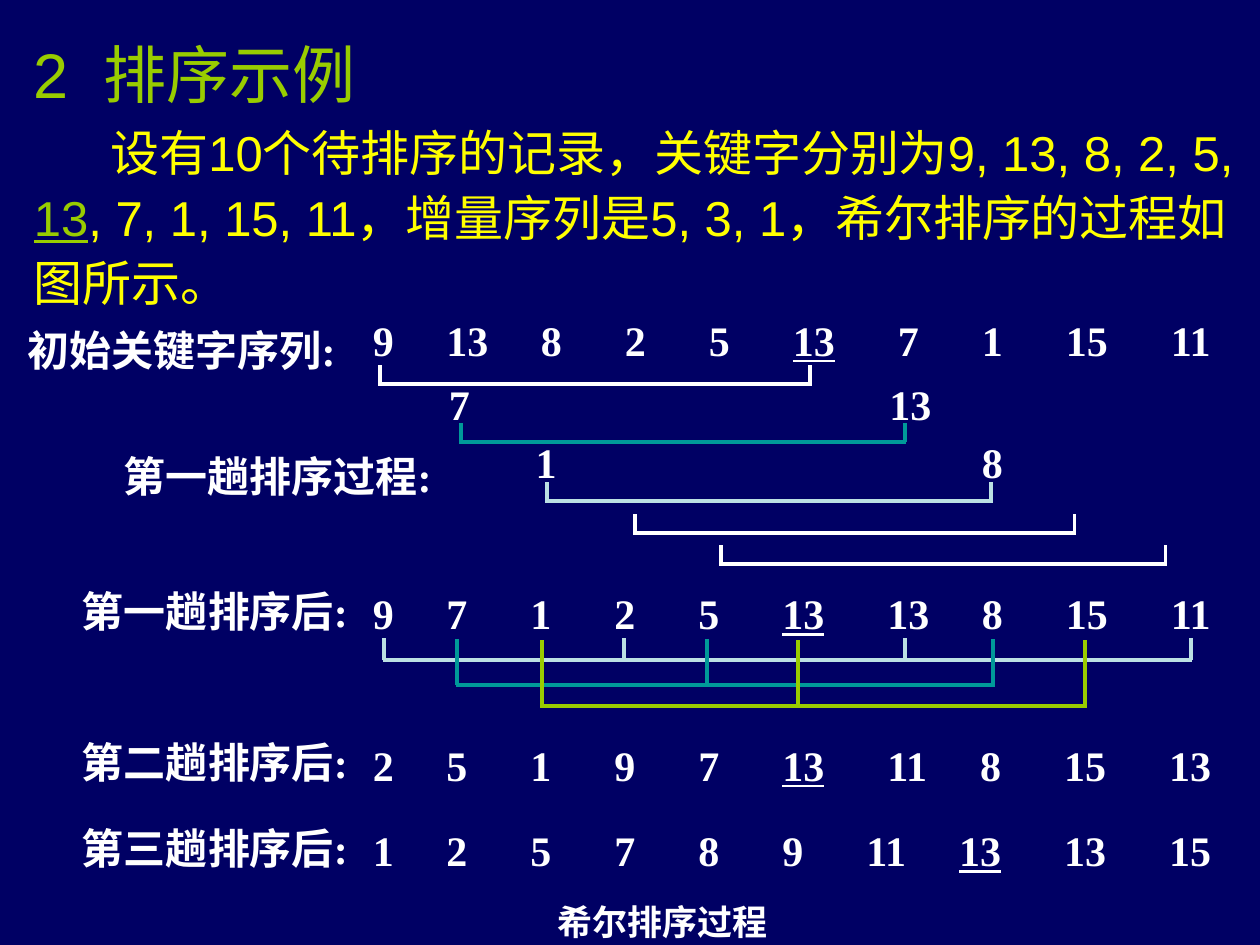
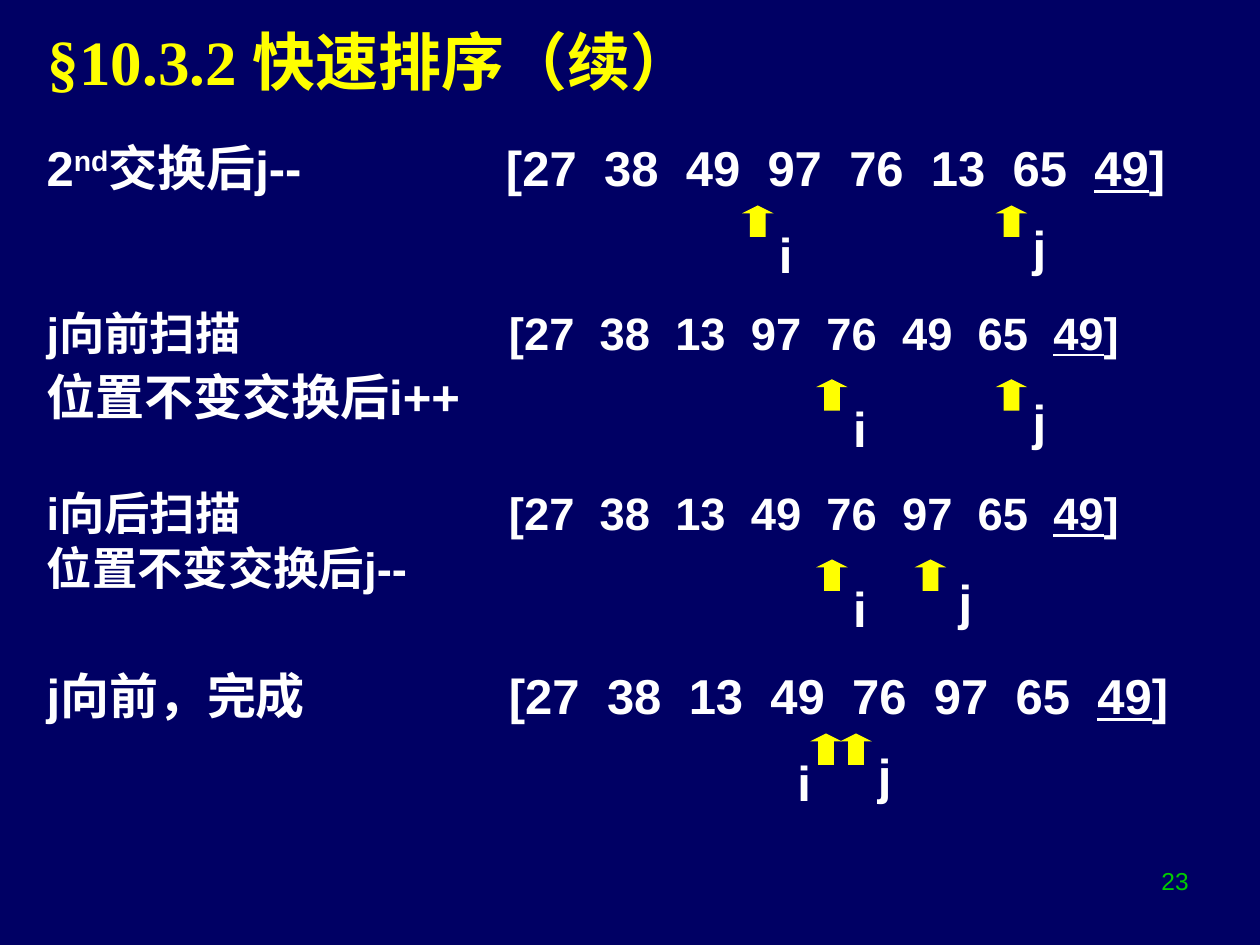
"""Build two slides on Shell sort and quick sort."""
from dataclasses import dataclass

from lxml import etree
from pptx import Presentation
from pptx.dml.color import RGBColor
from pptx.enum import shapes, text
from pptx.oxml import ns
from pptx.util import Pt


@dataclass(frozen=True)
class Theme:
    back: str = "000064"
    white: str = "FFFFFF"
    yellow: str = "FFFF00"
    green: str = "99CC00"
    teal: str = "009999"
    pale: str = "BBE0E3"
    page: str = "00CC00"
    sans: str = "Arial"
    serif: str = "Times New Roman"
    head: float = 36
    body: float = 28
    tight: float = 25.9
    key: float = 24
    note: float = 20
    small: float = 14
    line: float = 2.25


T = Theme()
LEFT, MID, RIGHT = text.PP_ALIGN.LEFT, text.PP_ALIGN.CENTER, text.PP_ALIGN.RIGHT


@dataclass(frozen=True)
class Look:
    size: float
    color: str = T.white
    font: str = T.sans
    bold: bool = True


KEY = Look(T.key, font=T.serif)
BODY = Look(T.body)


class Deck:
    """Holds the presentation, its style and the current slide."""

    def __init__(self):
        self.prs = Presentation()
        self.prs.slide_width, self.prs.slide_height = Pt(720), Pt(540)
        self.paint(self.prs.slide_master.background.fill, T.back)
        self.slide = None

    def paint(self, fill, color):
        fill.solid()
        fill.fore_color.rgb = RGBColor.from_string(color)

    def start(self, layout):
        self.slide = self.prs.slides.add_slide(self.prs.slide_layouts[layout])

    def place(self, item, left, top, width, height):
        item.left, item.top = Pt(left), Pt(top)
        item.width, item.height = Pt(width), Pt(height)

    def frame(self, item, anchor):
        frame = item.text_frame
        frame.word_wrap = True
        frame.auto_size = text.MSO_AUTO_SIZE.NONE
        frame.vertical_anchor = anchor
        return frame

    def para(self, para, runs, look, align=LEFT, tabs=(), indent=None, space=1, before=0):
        para.alignment = align
        para.line_spacing = space
        para.space_before = Pt(before)
        props = para._p.get_or_add_pPr()
        if indent is not None:
            props.set("marL", "0")
            props.set("indent", str(Pt(indent)))
        etree.SubElement(props, ns.qn("a:buNone"))
        if tabs:
            stops = etree.SubElement(props, ns.qn("a:tabLst"))
            for stop in tabs:
                etree.SubElement(stops, ns.qn("a:tab"), pos=str(Pt(stop)), algn="l")
        for words, mark in runs:
            self.run(para, words, look, mark)

    def run(self, para, words, look, mark):
        run = para.add_run()
        run.text = words
        font = run.font
        font.size, font.bold = Pt(look.size), look.bold
        font.color.rgb = RGBColor.from_string(T.green if mark == "link" else look.color)
        font.underline = mark in ("under", "link")
        font.name = look.font
        props = run._r.get_or_add_rPr()
        etree.SubElement(props, ns.qn("a:ea"), typeface=T.sans)
        if mark == "super":
            props.set("baseline", "30000")
        if mark == "wide":
            props.set("spc", "1000")

    def label(self, box, runs, look, anchor=text.MSO_ANCHOR.TOP, **kind):
        if isinstance(runs, str):
            runs = [(runs, "")]
        item = self.slide.shapes.add_textbox(*map(Pt, box))
        self.para(self.frame(item, anchor).paragraphs[0], runs, look, **kind)

    def title(self, box, words, look):
        item = self.slide.shapes.title
        self.place(item, *box)
        frame = self.frame(item, text.MSO_ANCHOR.MIDDLE)
        self.para(frame.paragraphs[0], [(words, "")], look)

    def body(self, box):
        head = self.slide.shapes.title.element
        head.getparent().remove(head)
        item = self.slide.placeholders[1]
        self.place(item, *box)
        return self.frame(item, text.MSO_ANCHOR.TOP)

    def line(self, color, *ends):
        wire = self.slide.shapes.add_connector(shapes.MSO_CONNECTOR.STRAIGHT, *map(Pt, ends))
        wire.line.color.rgb = RGBColor.from_string(color)
        wire.line.width = Pt(T.line)
        etree.SubElement(wire._element.spPr, ns.qn("a:effectLst"))

    def comb(self, color, top, base, teeth):
        self.line(color, teeth[0] - 1, base, teeth[-1] + 1, base)
        for tooth in teeth:
            self.line(color, tooth, base, tooth, top)

    def arrow(self, left, top):
        item = self.slide.shapes.add_shape(
            shapes.MSO_SHAPE.RIGHT_ARROW, Pt(left), Pt(top), Pt(18), Pt(18))
        item.rotation = 270
        item.adjustments[0], item.adjustments[1] = 0.5, 0.25
        item.shadow.inherit = False
        self.paint(item.fill, T.yellow)
        item.line.fill.background()


def shell(deck):
    deck.start(1)
    frame = deck.body((12.2, 12.2, 702, 172.8))
    deck.para(frame.paragraphs[0], [("2", ""), (" ", "wide"), ("排序示例", "")],
              Look(T.head, T.green, bold=False), indent=0, space=1.1)
    deck.para(frame.add_paragraph(), [
        ("设有10个待排序的记录，关键字分别为9, 13, 8, 2, 5, ", ""),
        ("13", "link"),
        (", 7, 1, 15, 11，增量序列是5, 3, 1，希尔排序的过程如图所示。", "")],
        Look(T.body, T.yellow, bold=False), indent=43.8, space=1.1, before=3.5)

    mid = text.MSO_ANCHOR.MIDDLE
    rows = [
        (178.6, "9 13 8 2 5 _13 7 1 15 11", (42, 96, 144, 192, 240, 300, 348, 396, 456)),
        (334.8, "9 7 1 2 5 _13 13 8 15 11", (42, 90, 138, 186, 234, 294, 348, 396, 456)),
        (421.2, "2 5 1 9 7 _13 11 8 15 13", (42, 90, 138, 186, 234, 294, 347, 395, 455)),
        (470.2, "1 2 5 7 8 9 11 _13 13 15", (42, 90, 138, 186, 234, 282, 335, 395, 455)),
    ]
    for top, keys, tabs in rows:
        first, last = keys.replace(" ", "\t").split("_13")
        deck.label((206, top, 500, 31), [(first, ""), ("13", "under"), (last, "")],
                   KEY, mid, tabs=tabs)

    names = [
        (8.8, 184.3, 31, "初始关键字序列:"),
        (63.6, 256.3, 31, "第一趟排序过程:"),
        (39.8, 334.8, 28, "第一趟排序后:"),
        (39.8, 421.2, 28, "第二趟排序后:"),
        (39.8, 470.2, 28, "第三趟排序后:"),
    ]
    for left, top, high, name in names:
        deck.label((left, top, 205, high), name, KEY, mid)

    swaps = [(262.5, 216.7, "7"), (520.2, 216.7, "13"), (312.1, 249.8, "1"), (567, 249.8, "8")]
    for center, top, key in swaps:
        deck.label((center - 24, top, 48, 28), key, KEY, mid, align=MID)

    combs = [
        (T.white, 208.8, 219.6, (217.2, 463)),
        (T.teal, 241.6, 252.6, (263.2, 517)),
        (T.pale, 275.4, 286.4, (312.5, 566.5)),
        (T.white, 293.5, 304.5, (363, 614)),
        (T.white, 311.5, 322.5, (412, 666)),
        (T.pale, 364.5, 377.3, (219.6, 356.4, 517, 680.4)),
        (T.teal, 365, 391.5, (261.4, 404, 567.4)),
        (T.green, 366, 403.2, (309.6, 455.8, 620)),
    ]
    for comb in combs:
        deck.comb(*comb)
    deck.label((279.4, 511.2, 198.7, 31), "希尔排序过程", Look(T.note, font=T.serif), mid, align=MID)


def quick(deck):
    deck.start(5)
    deck.title((20.2, 14.4, 666, 39.6), "§10.3.2 快速排序（续）",
               Look(T.head, T.yellow, T.serif))
    tight = Look(T.tight)
    steps = [
        (74.9, BODY, 1, 262.5, [("2", ""), ("nd", "super"), ("交换后j--", "")],
         "27 38 49 97 76 13 65", None, (("i", 424, 14), ("j", 569, 14))),
        (174.2, tight, 0.9, 264.2, [("j向前扫描", "")],
         "27 38 13 97 76 49 65", ("位置不变交换后i++", BODY, 1),
         (("i", 466.4, 14), ("j", 569, 14))),
        (277.2, tight, 0.9, 264.2, [("i向后扫描", "")],
         "27 38 13 49 76 97 65", ("位置不变交换后j--", tight, 0.9),
         (("i", 466.4, 14), ("j", 522.7, 18))),
        (376.6, BODY, 1, 264.2, [("j向前，完成", "")],
         "27 38 13 49 76 97 65", None, (("i", 463, -14.4), ("j", 480.2, 14.4))),
    ]
    drop = {"i": 49.7, "j": 46}
    for top, look, space, start, name, keys, more, marks in steps:
        tabs = [start] + [start + look.size * (0.333 + 1.668 * n) for n in range(1, 8)]
        runs = name + [("\t[" + keys.replace(" ", "\t") + "\t", ""), ("49", "under"), ("]", "")]
        deck.label((19.6, top, 700, 74), runs, look, tabs=tabs, space=space)
        if more:
            words, kind, gap = more
            deck.label((19.6, top + 31.7, 258.5, 42.5), words, kind, space=gap)
        for mark, left, shift in marks:
            deck.arrow(left, top + 42.5)
            deck.label((left + shift, top + drop[mark], 25.2, 42.5), mark, BODY)
    deck.label((518.6, 491.2, 167.8, 37.4), "23", Look(T.small, T.page, bold=False), align=RIGHT)


def main():
    deck = Deck()
    shell(deck)
    quick(deck)
    deck.prs.save("out.pptx")


if __name__ == "__main__":
    main()
